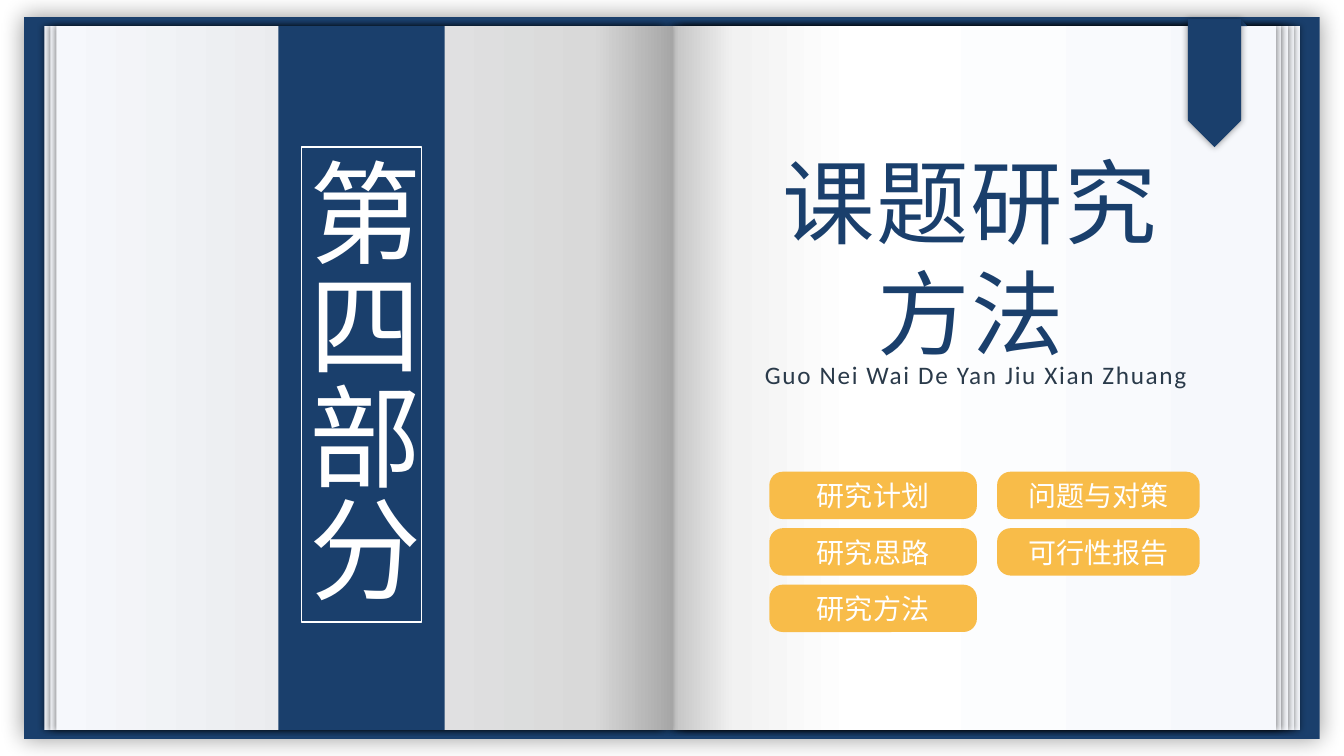
from pptx import Presentation
from pptx.dml.color import RGBColor
from pptx.enum.shapes import MSO_SHAPE as Shape
from pptx.enum.text import MSO_ANCHOR as Anchor, MSO_AUTO_SIZE as AutoSize, PP_ALIGN as Align
from pptx.oxml import parse_xml
from pptx.oxml.ns import nsdecls, qn
from pptx.util import Inches, Pt

WIDTH, HEIGHT = Inches(13.33), Inches(7.5)
COLOURS = {
    "navy": "1A3F6C", "slate": "2A3A4A", "amber": "F8BC49", "white": "FFFFFF",
    "black": "000000", "paper": "F6F8FC", "mist": "F2F2F2", "silver": "D9D9D9",
    "grey": "BFBFBF", "shade": "A6A6A6",
}
CHINESE, LATIN = "Noto Sans CJK SC", "Calibri"

# Gradient stops run from the outer edge of a page to the spine.
DARK_PAGE = [(0, "paper"), (87, "silver"), (100, "shade")]
LIGHT_PAGE = [(0, "paper"), (62, "white"), (89, "mist"), (100, "silver")]
TOP_PAGE = [(0, "paper"), (69, "white"), (89, "mist"), (100, "grey")]

# Positions and sizes are percentages of the slide.
PAGE_TOP, PAGE_HEIGHT = 3.47, 93.07
PAGE_WIDTH, TOP_PAGE_WIDTH = 45.91, 45.31
RIGHT_PAGES = [
    (50.79, PAGE_WIDTH, DARK_PAGE), (50.34, PAGE_WIDTH, DARK_PAGE),
    (49.96, PAGE_WIDTH, LIGHT_PAGE), (50.04, TOP_PAGE_WIDTH, TOP_PAGE),
    (49.66, TOP_PAGE_WIDTH, TOP_PAGE),
]
LEFT_PAGE_START, LEFT_PAGE_STEP, LEFT_PAGE_COUNT = 3.3, 0.45, 3
BUTTON_TOP, BUTTON_STEP, BUTTON_HEIGHT = 62.4, 7.47, 6.27
BUTTON_COLUMNS = [
    (57.24, 15.45, ["研究计划", "研究思路", "研究方法"]),
    (74.19, 15.08, ["问题与对策", "可行性报告"]),
]


def colour(name):
    return RGBColor.from_string(COLOURS[name])


def set_values(target, values):
    for name, value in values.items():
        setattr(target, name, value)


def share(left, top, width, height):
    """Turn percentages of the slide into lengths."""
    pairs = zip((left, top, width, height), (WIDTH, HEIGHT) * 2)
    return [int(percent * full / 100) for percent, full in pairs]


def add_block(page, kind, area, fill=None, line=None):
    block = page.shapes.add_shape(kind, *share(*area))
    block.shadow.inherit = False
    if fill:
        block.fill.solid()
        block.fill.fore_color.rgb = colour(fill)
    else:
        block.fill.background()
    if line:
        block.line.color.rgb = colour(line)
        block.line.width = Pt(1)
    else:
        block.line.fill.background()
    return block


def add_shadow(block, blur, distance=0, degrees=0):
    effects = block.element.spPr.find(qn("a:effectLst"))
    effects.append(parse_xml(
        f'<a:outerShdw {nsdecls("a")} blurRad="{Pt(blur)}" dist="{Pt(distance)}" '
        f'dir="{degrees * 60000}" algn="ctr" rotWithShape="0">'
        f'<a:srgbClr val="{COLOURS["black"]}"><a:alpha val="40000"/></a:srgbClr>'
        '</a:outerShdw>'))


def add_leaf(page, left, width, stops, right_side):
    """Add one sheet of the book, shaded towards the spine."""
    leaf = add_block(page, Shape.RECTANGLE, (left, PAGE_TOP, width, PAGE_HEIGHT))
    if right_side:
        stops = [(100 - position, name) for position, name in reversed(stops)]
    stop_xml = "".join(
        f'<a:gs pos="{position * 1000}"><a:srgbClr val="{COLOURS[name]}"/></a:gs>'
        for position, name in stops)
    properties = leaf.element.spPr
    properties.remove(properties.find(qn("a:noFill")))
    properties.find(qn("a:prstGeom")).addnext(parse_xml(
        f'<a:gradFill {nsdecls("a")} rotWithShape="1"><a:gsLst>{stop_xml}</a:gsLst>'
        '<a:lin ang="0" scaled="0"/></a:gradFill>'))
    add_shadow(leaf, 4, 1, 0 if right_side else 180)


def write(box, text, size, ink, face=CHINESE, anchor=Anchor.MIDDLE, spacing=0):
    frame = box.text_frame
    set_values(frame, {"word_wrap": True, "auto_size": AutoSize.NONE,
                       "vertical_anchor": anchor})
    para = frame.paragraphs[0]
    set_values(para, {"alignment": Align.CENTER, "space_before": Pt(0),
                      "line_spacing": 1.0})
    span = para.add_run()
    span.text = text
    set_values(span.font, {"size": Pt(size), "name": face, "bold": False})
    span.font.color.rgb = colour(ink)
    properties = span.font.color and span._r.get_or_add_rPr()
    properties.append(parse_xml(f'<a:ea {nsdecls("a")} typeface="{face}"/>'))
    if spacing:
        properties.set("spc", str(int(spacing * 100)))


def fill_placeholder(box, area, **text_format):
    """Place a template placeholder in front of the shapes drawn so far."""
    names = ("left", "top", "width", "height")
    set_values(box, dict(zip(names, share(*area))))
    write(box, anchor=Anchor.TOP, spacing=1.2, **text_format)
    box.element.getparent().append(box.element)


def add_book(page):
    cover = add_block(page, Shape.RECTANGLE, (1.8, 2.27, 96.4, 95.47), "navy")
    add_shadow(cover, 16)
    for left, width, stops in RIGHT_PAGES:
        add_leaf(page, left, width, stops, right_side=True)
    for number in range(LEFT_PAGE_COUNT):
        left = LEFT_PAGE_START + number * LEFT_PAGE_STEP
        add_leaf(page, left, PAGE_WIDTH, DARK_PAGE, right_side=False)


def add_ribbon(page):
    add_block(page, Shape.RIGHT_TRIANGLE, (92.35, 2.53, 0.45, 0.93), "navy")
    ribbon = add_block(page, Shape.PENTAGON, (85.6, 7.47, 9.53, 7.07), "navy")
    ribbon.rotation = 90
    add_shadow(ribbon, 5)


def add_chapter(page, text):
    add_block(page, Shape.RECTANGLE, (20.71, PAGE_TOP, 12.38, PAGE_HEIGHT), "navy")
    box = add_block(page, Shape.RECTANGLE, (22.43, 19.47, 8.93, 62.8), line="white")
    write(box, text, 80, "white")
    box.text_frame._txBody.bodyPr.set("vert", "eaVert")


def add_button(page, area, text):
    button = add_block(page, Shape.ROUNDED_RECTANGLE, area, "amber")
    button.adjustments[0] = 0.285
    set_values(button.text_frame, {"margin_top": 0, "margin_bottom": 0})
    write(button, text, 20, "white")


def main():
    deck = Presentation()
    set_values(deck, {"slide_width": WIDTH, "slide_height": HEIGHT})
    page = deck.slides.add_slide(deck.slide_layouts[0])
    title, subtitle = page.placeholders

    add_book(page)
    fill_placeholder(title, (55.59, 18.53, 33.31, 30.93),
                     text="课题研究方法", size=66, ink="navy")
    fill_placeholder(subtitle, (50.04, 46.8, 45.16, 5.33), face=LATIN,
                     text="Guo Nei Wai De Yan Jiu Xian Zhuang", size=18, ink="slate")
    add_ribbon(page)
    add_chapter(page, "第四部分")
    for left, width, topics in BUTTON_COLUMNS:
        for row, topic in enumerate(topics):
            top = BUTTON_TOP + row * BUTTON_STEP
            add_button(page, (left, top, width, BUTTON_HEIGHT), topic)

    deck.save("out.pptx")


if __name__ == "__main__":
    main()
